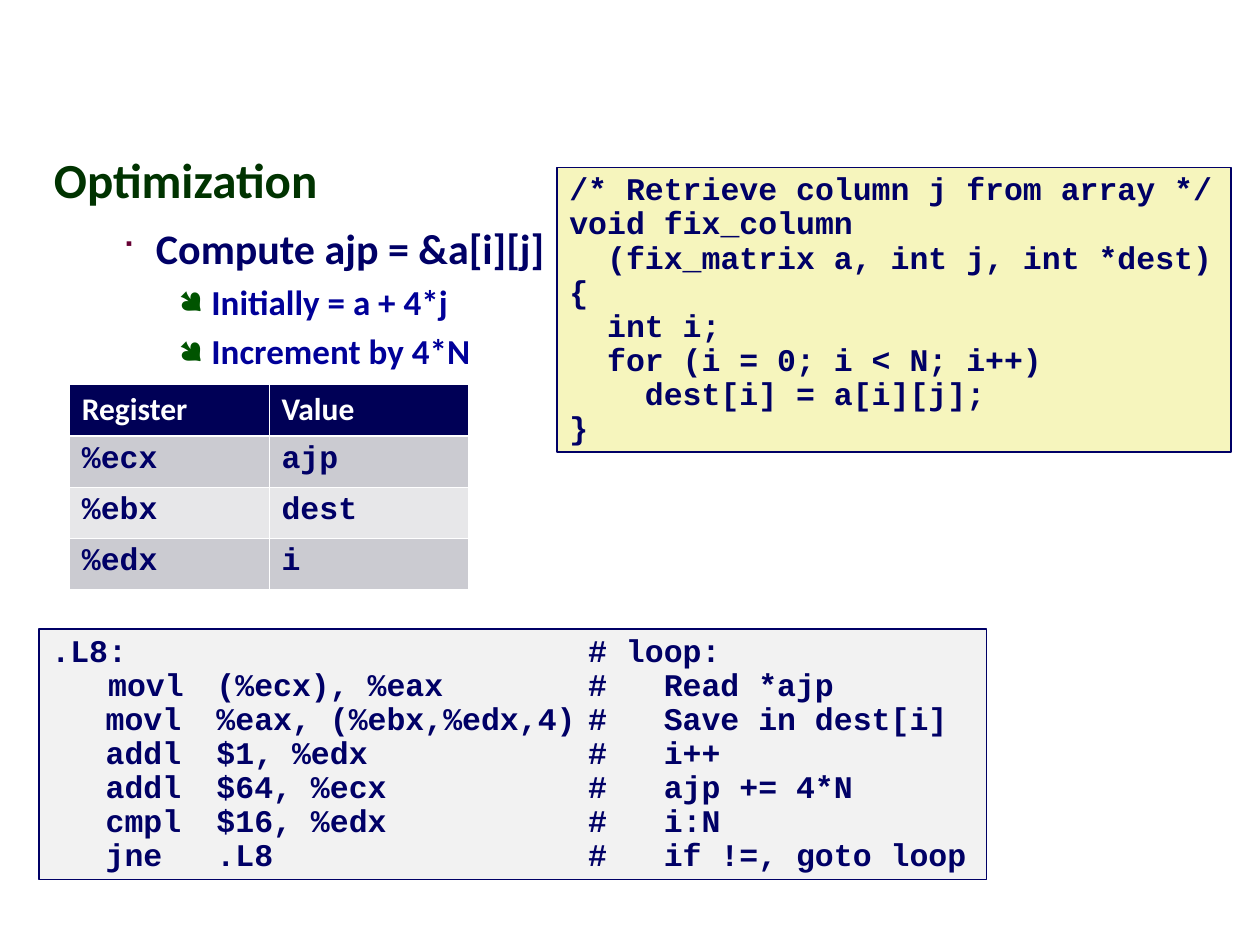
from lxml.etree import SubElement
from pptx import Presentation
from pptx.dml.color import RGBColor
from pptx.enum.shapes import MSO_SHAPE as Preset
from pptx.enum.text import MSO_ANCHOR as Anchor, MSO_AUTO_SIZE as AutoSize, PP_ALIGN as Align
from pptx.oxml.ns import qn
from pptx.util import Pt

PX = 9144
WHITE = RGBColor(0xFF, 0xFF, 0xFF)
NAVY = RGBColor(0x00, 0x00, 0x66)
BLUE = RGBColor(0x00, 0x00, 0x99)
HEADER_NAVY = RGBColor(0x00, 0x00, 0x56)
DARK_GREEN = RGBColor(0x00, 0x33, 0x00)
BULLET_GREEN = RGBColor(0x00, 0x54, 0x00)
MAROON = RGBColor(0x66, 0x00, 0x33)
CREAM = RGBColor(0xF6, 0xF5, 0xBD)
PALE_GRAY = RGBColor(0xF2, 0xF2, 0xF2)
BANDS = RGBColor(0xE7, 0xE7, 0xE9), RGBColor(0xCB, 0xCB, 0xD1)
SANS, MONO, SYMBOLS = "Calibri", "Courier New", "Wingdings"

HEADING = dict(size=28, color=DARK_GREEN, margin=42, indent=-42, spacing=0.95)
POINT = dict(size=24, color=NAVY, level=1, margin=81, indent=-27, before=7.5,
             bullet=("■", MAROON, 75))
DETAIL = dict(size=20, color=BLUE, level=2, margin=125, indent=-26, spacing=1.07,
              before=2.5, bullet=("●", BULLET_GREEN, 90))
OUTLINE = [
    ("Optimization", HEADING),
    ("Compute ajp = &a[i][j]", POINT),
    ("Initially = a + 4*j", DETAIL),
    ("Increment by 4*N", DETAIL),
]
REGISTERS = [("Register", "Value"), ("%ecx", "ajp"), ("%ebx", "dest"), ("%edx", "i")]
C_SOURCE = """/* Retrieve column j from array */
void fix_column
  (fix_matrix a, int j, int *dest)
{
  int i;
  for (i = 0; i < N; i++)
    dest[i] = a[i][j];
}"""
ASSEMBLY = """.L8:\t\t# loop:
   movl\t(%ecx), %eax\t#   Read *ajp
\t  movl\t%eax, (%ebx,%edx,4)\t#   Save in dest[i]
\t  addl\t$1, %edx\t#   i++
\t  addl\t$64, %ecx\t#   ajp += 4*N
\t  cmpl\t$16, %edx\t#   i:N
\t  jne\t.L8\t#   if !=, goto loop"""


def write(paragraph, text, size=18, color=NAVY, font=SANS, level=0, margin=0, indent=0,
          spacing=1.0, before=0, bullet=None, tabs=()):
    paragraph.level = level
    paragraph.alignment = Align.LEFT
    properties = paragraph._p.get_or_add_pPr()
    if margin:
        properties.set("marL", str(margin * PX))
        properties.set("indent", str(indent * PX))
    if bullet:
        mark, mark_color, percent = bullet
        tint = SubElement(properties, qn("a:buClr"))
        SubElement(tint, qn("a:srgbClr"), val=str(mark_color))
        SubElement(properties, qn("a:buSzPct"), val=str(percent * 1000))
        SubElement(properties, qn("a:buFont"), typeface=SYMBOLS, charset="2")
        SubElement(properties, qn("a:buChar"), char=mark)
    if tabs:
        stops = SubElement(properties, qn("a:tabLst"))
        for stop in tabs:
            SubElement(stops, qn("a:tab"), pos=str(stop * PX), algn="l")
    paragraph.line_spacing = spacing
    paragraph.space_before = Pt(before)
    run = paragraph.add_run()
    run.text = text
    run.font.name = font
    run.font.size = Pt(size)
    run.font.bold = True
    run.font.color.rgb = color


class SlideBuilder:
    def __init__(self, slide):
        self.slide = slide
        self.line_color = NAVY
        self.border_color = WHITE

    def fill_frame(self, frame, lines):
        frame.word_wrap = True
        frame.vertical_anchor = Anchor.TOP
        for number, (text, style) in enumerate(lines):
            paragraph = frame.add_paragraph() if number else frame.paragraphs[0]
            write(paragraph, text, **style)

    def outline(self, lines, *box):
        body = self.slide.shapes.add_textbox(*(n * PX for n in box))
        self.fill_frame(body.text_frame, lines)

    def code(self, listing, fill, *box, tabs=()):
        panel = self.slide.shapes.add_shape(Preset.RECTANGLE, *(n * PX for n in box))
        panel.shadow.inherit = False
        panel.fill.solid()
        panel.fill.fore_color.rgb = fill
        panel.line.color.rgb = self.line_color
        panel.line.width = Pt(1)
        style = dict(font=MONO, spacing=0.9, tabs=tabs)
        self.fill_frame(panel.text_frame, [(line, style) for line in listing.split("\n")])
        panel.text_frame.auto_size = AutoSize.SHAPE_TO_FIT_TEXT

    def border(self, cell, side, points):
        edge = SubElement(cell._tc.get_or_add_tcPr(), qn(f"a:ln{side}"), w=str(Pt(points)))
        paint = SubElement(edge, qn("a:solidFill"))
        SubElement(paint, qn("a:srgbClr"), val=str(self.border_color))

    def table(self, rows, *box):
        frame = self.slide.shapes.add_table(len(rows), len(rows[0]), *(n * PX for n in box))
        for r, row in enumerate(rows):
            for c, text in enumerate(row):
                cell = frame.table.cell(r, c)
                widths = {"L": 0.45, "R": 0.45, "T": 1.47 if r == 1 else 0.45,
                          "B": 1.47 if r == 0 else 0.45}
                for side, points in widths.items():
                    self.border(cell, side, points)
                cell.fill.solid()
                cell.fill.fore_color.rgb = BANDS[r % 2] if r else HEADER_NAVY
                style = dict(font=MONO) if r else dict(color=WHITE)
                write(cell.text_frame.paragraphs[0], text, **style)


def main():
    deck = Presentation()
    deck.slide_width, deck.slide_height = 1000 * PX, 750 * PX
    blank_layout = deck.slide_layouts[6]
    builder = SlideBuilder(deck.slides.add_slide(blank_layout))
    builder.outline(OUTLINE, 33, 117, 450, 428)
    builder.code(C_SOURCE, CREAM, 442, 133, 535, 226)
    builder.code(ASSEMBLY, PALE_GRAY, 31, 499, 752, 199, tabs=(13, 131, 426))
    builder.table(REGISTERS, 55, 305, 317, 163)
    deck.save("out.pptx")


if __name__ == "__main__":
    main()
